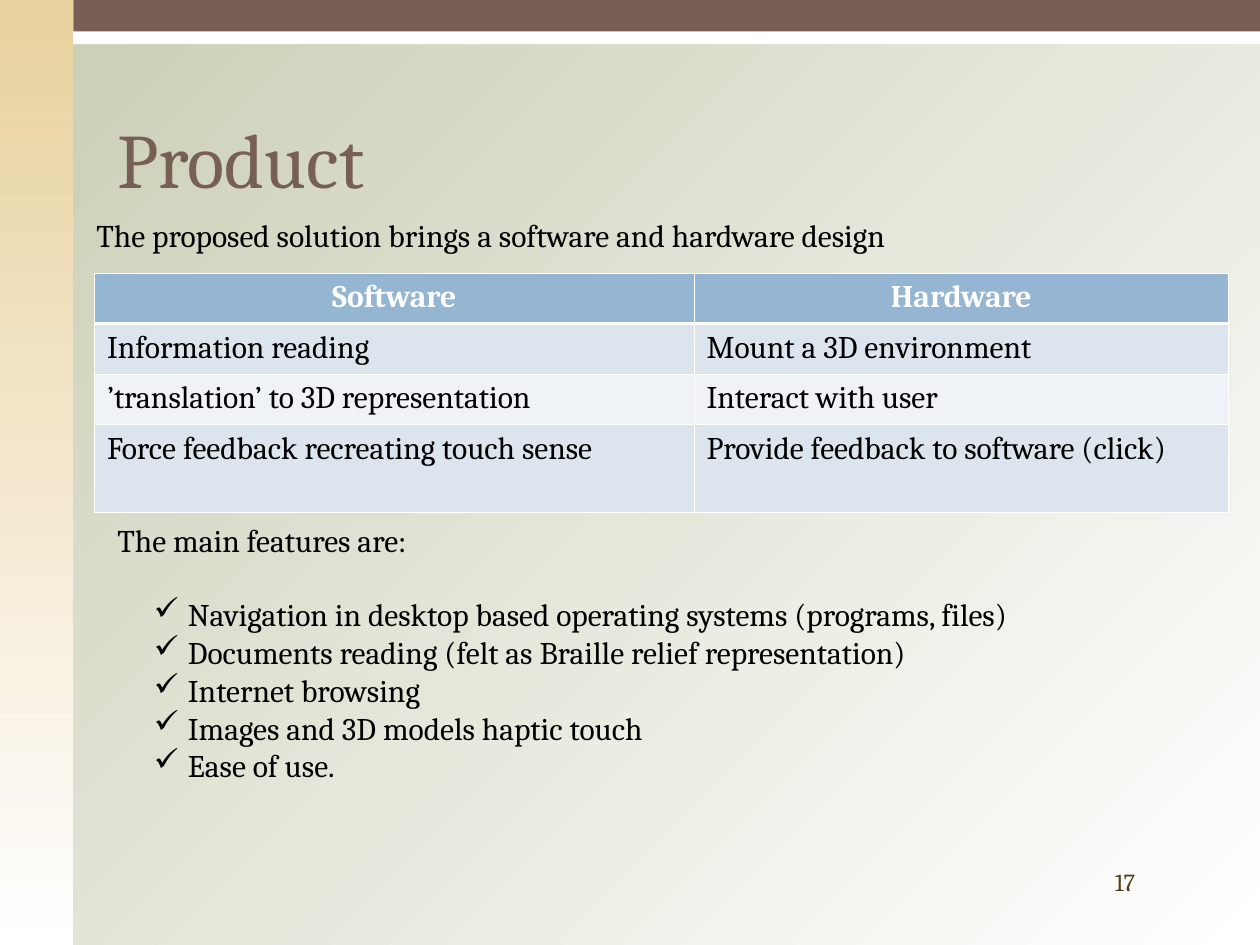
from lxml import etree
from pptx import Presentation
from pptx.dml.color import RGBColor
from pptx.enum.shapes import MSO_SHAPE
from pptx.enum.text import MSO_ANCHOR, MSO_AUTO_SIZE, PP_ALIGN
from pptx.oxml.ns import qn
from pptx.util import Inches, Pt

RECTANGLE = MSO_SHAPE.RECTANGLE
BOTTOM = MSO_ANCHOR.BOTTOM
GROW = MSO_AUTO_SIZE.SHAPE_TO_FIT_TEXT
CENTER, LEFT = PP_ALIGN.CENTER, PP_ALIGN.LEFT

WHITE = RGBColor(0xFF, 0xFF, 0xFF)
BLACK = RGBColor(0x00, 0x00, 0x00)
SAGE = RGBColor(0xC9, 0xCD, 0xB3)
SAND = RGBColor(0xE8, 0xD1, 0x9D)
BROWN = RGBColor(0x77, 0x5F, 0x55)
DARK_BROWN = RGBColor(0x51, 0x3E, 0x1B)
HEADER_BLUE = RGBColor(0x94, 0xB6, 0xD2)
BAND_DARK = RGBColor(0xDC, 0xE5, 0xEE)
BAND_LIGHT = RGBColor(0xEF, 0xF3, 0xF7)

FONT = "Cambria"
BODY_SIZE = 18
COLUMNS, ROWS = 120, 90
THIN, THICK = 0.45, 1.47

RESPONSIBILITIES = [
    ("Software", "Hardware"),
    ("Information reading", "Mount a 3D environment"),
    ("’translation’ to 3D representation", "Interact with user"),
    ("Force feedback recreating touch sense", "Provide feedback to software (click)"),
]
FEATURES = [
    "Navigation in desktop based operating systems (programs, files)",
    "Documents reading (felt as Braille relief representation)",
    "Internet browsing",
    "Images and 3D models haptic touch",
    "Ease of use.",
]


def fade_to_white(fill, start, angle):
    """Blend from start to white; the angle runs clockwise in degrees."""
    fill.gradient()
    fill.gradient_angle = 360 - angle
    for stop, color, position in zip(fill.gradient_stops, (start, WHITE), (0, 1)):
        stop.color.rgb = color
        stop.position = position


def add_bullet(paragraph, mark, margin, hang):
    properties = paragraph._p.get_or_add_pPr()
    properties.set("marL", str(margin))
    properties.set("indent", str(-hang))
    color = etree.SubElement(properties, qn("a:buClr"))
    etree.SubElement(color, qn("a:srgbClr"), val=str(BLACK))
    etree.SubElement(properties, qn("a:buChar"), char=mark)


def add_borders(cell, top, bottom):
    properties = cell._tc.get_or_add_tcPr()
    for side, width in (("L", THIN), ("R", THIN), ("T", top), ("B", bottom)):
        line = etree.SubElement(properties, qn(f"a:ln{side}"), w=str(Pt(width)))
        solid = etree.SubElement(line, qn("a:solidFill"))
        etree.SubElement(solid, qn("a:srgbClr"), val=str(WHITE))


class SlideBuilder:
    """Places elements on a grid of 120 columns by 90 rows."""

    def __init__(self, presentation):
        self.column = presentation.slide_width / COLUMNS
        self.row = presentation.slide_height / ROWS
        self.slide = presentation.slides.add_slide(presentation.slide_layouts[6])

    def place(self, left, top, width, height):
        return (round(left * self.column), round(top * self.row),
                round(width * self.column), round(height * self.row))

    def style(self, paragraph, size=BODY_SIZE, color=BLACK, bold=False):
        for run in paragraph.runs:
            run.font.name = FONT
            run.font.size = Pt(size)
            run.font.color.rgb = color
            run.font.bold = bold

    def band(self, area, color, fade=False):
        band = self.slide.shapes.add_shape(RECTANGLE, *self.place(*area))
        band.shadow.inherit = False
        band.line.fill.background()
        if fade:
            fade_to_white(band.fill, color, 90)
        else:
            band.fill.solid()
            band.fill.fore_color.rgb = color

    def text(self, area, words, size=BODY_SIZE, color=BLACK, anchor=None):
        """Add a text box; one without an anchor grows with its text."""
        frame = self.slide.shapes.add_textbox(*self.place(*area)).text_frame
        frame.word_wrap = True
        if anchor is None:
            frame.auto_size = GROW
        else:
            frame.vertical_anchor = anchor
        frame.text = words
        self.style(frame.paragraphs[0], size, color)
        return frame

    def checklist(self, area, heading, items):
        frame = self.text(area, heading)
        for index, item in enumerate(items):
            paragraph = frame.add_paragraph()
            paragraph.text = item
            if index == 0:
                paragraph.space_before = Pt(21)
            add_bullet(paragraph, "✓", Inches(0.56), Inches(0.27))
            self.style(paragraph)

    def table(self, left, top, widths, heights, records):
        area = self.place(left, top, sum(widths), sum(heights))
        table = self.slide.shapes.add_table(len(heights), len(widths), *area).table
        for column, width in zip(table.columns, widths):
            column.width = round(width * self.column)
        for row, height in zip(table.rows, heights):
            row.height = round(height * self.row)
        for r, record in enumerate(records):
            header = r == 0
            fill = HEADER_BLUE if header else (BAND_LIGHT, BAND_DARK)[r % 2]
            for c, words in enumerate(record):
                cell = table.cell(r, c)
                add_borders(cell, THICK if r == 1 else THIN, THICK if header else THIN)
                cell.fill.solid()
                cell.fill.fore_color.rgb = fill
                cell.text_frame.text = words
                paragraph = cell.text_frame.paragraphs[0]
                paragraph.alignment = CENTER if header else LEFT
                self.style(paragraph, color=WHITE if header else BLACK, bold=header)


def main():
    presentation = Presentation()
    presentation.slide_width, presentation.slide_height = Inches(10), Inches(7.5)
    builder = SlideBuilder(presentation)
    fade_to_white(builder.slide.background.fill, SAGE, 45)

    sidebar = 7
    builder.band((0, 0, COLUMNS, 4.2), WHITE)
    builder.band((0, 0, sidebar, ROWS), SAND, fade=True)
    builder.band((sidebar, 0, COLUMNS - sidebar, 3), BROWN)

    builder.text((10, 5, 105, 15), "Product", 44, BROWN, BOTTOM)
    builder.text((105, 81.8, 11, 4.2), "17", 14, DARK_BROWN, BOTTOM)
    builder.checklist((10, 49, 102, 30), "The main features are:", FEATURES)
    builder.text((8, 20, 99, 4.8),
                 "The proposed solution brings a software and hardware design")
    builder.table(9, 26, (57.1, 50.9), (4.8, 4.8, 4.8, 8.4), RESPONSIBILITIES)

    presentation.save("out.pptx")


if __name__ == "__main__":
    main()
